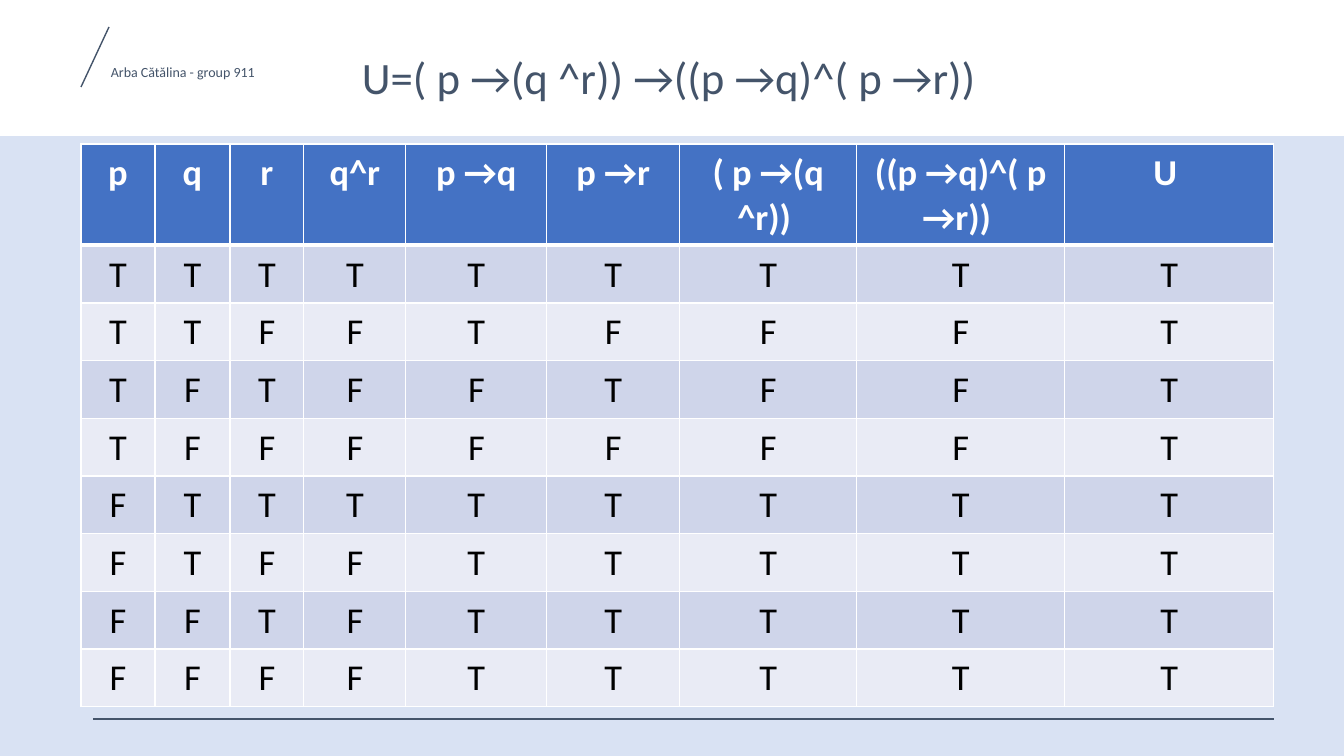
from itertools import product

from lxml.etree import SubElement
from pptx import Presentation
from pptx.dml.color import RGBColor
from pptx.enum.shapes import MSO_CONNECTOR, MSO_SHAPE
from pptx.enum.text import MSO_ANCHOR, PP_ALIGN
from pptx.oxml.ns import qn
from pptx.util import Pt

EMU_PER_PX = 914400 / 100.8
SLIDE_WIDTH, SLIDE_HEIGHT = 1344, 756
COLORS = {
    "accent": "4472C4",
    "ink": "44546A",
    "white": "FFFFFF",
    "black": "000000",
    "odd_row": "CFD5EA",
    "even_row": "E9EBF5",
}
HEADERS = ["p", "q", "r", "q^r", "p →q", "p →r",
           "( p →(q ^r)) ", "((p →q)^( p →r)) ", "U "]
COLUMN_WIDTHS = [74, 75, 74, 102, 141, 133, 177, 208, 209]
HEADER_HEIGHT, ROW_HEIGHT = 96, 57


def px(length):
    return round(length * EMU_PER_PX)


def color(name):
    return RGBColor.from_string(COLORS[name])


def set_values(target, values):
    for name, value in values.items():
        setattr(target, name, value)


def style_font(paragraph, size, color_name, bold=False):
    set_values(paragraph.font, {"name": "Calibri", "size": Pt(size), "bold": bold})
    paragraph.font.color.rgb = color(color_name)


def add_band(slide, left, top, width, height):
    band = slide.shapes.add_shape(MSO_SHAPE.RECTANGLE, *map(px, (left, top, width, height)))
    band.shadow.inherit = False
    band.fill.solid()
    band.fill.fore_color.rgb = color("accent")
    band.line.fill.background()
    fill_color = band.fill._xPr.find(qn("a:solidFill"))[0]
    SubElement(fill_color, qn("a:alpha"), val="20000")


def add_text(slide, box, text, size, frame_format):
    frame = slide.shapes.add_textbox(*map(px, box)).text_frame
    set_values(frame, {"word_wrap": True, **frame_format})
    paragraph = frame.paragraphs[0]
    paragraph.text = text
    paragraph.line_spacing = 0.9
    style_font(paragraph, size, "ink")


def add_line(slide, *ends):
    line = slide.shapes.add_connector(MSO_CONNECTOR.STRAIGHT, *map(px, ends))
    line.line.color.rgb = color("ink")
    line.line.width = Pt(1)
    SubElement(line._element.spPr, qn("a:effectLst"))


def add_heading(slide, left, top, width, height):
    add_text(slide, (left + 352, top, width - 352, height),
             "U=( p →(q ^r)) →((p →q)^( p →r))", 32,
             {"vertical_anchor": MSO_ANCHOR.BOTTOM, "margin_bottom": px(85)})
    add_text(slide, (left + 101, top + 60, 383, 26), "Arba Cătălina - group 911", 10,
             {"vertical_anchor": MSO_ANCHOR.MIDDLE, "margin_top": 0, "margin_bottom": 0})
    add_line(slide, left + 109, top + 27, left + 81, top + 87)


def truth_rows():
    """Evaluate every column for each assignment of p, q and r."""
    for p, q, r in product([True, False], repeat=3):
        q_and_r, p_to_q, p_to_r = q and r, not p or q, not p or r
        premise, conclusion = not p or q_and_r, p_to_q and p_to_r
        values = [p, q, r, q_and_r, p_to_q, p_to_r,
                  premise, conclusion, not premise or conclusion]
        yield ["T" if value else "F" for value in values]


def add_borders(cell, top, bottom):
    properties = cell._tc.get_or_add_tcPr()
    for side, width in {"L": 1, "R": 1, "T": top, "B": bottom}.items():
        border = SubElement(properties, qn(f"a:ln{side}"), w=str(Pt(width)))
        fill = SubElement(border, qn("a:solidFill"))
        SubElement(fill, qn("a:srgbClr"), val=COLORS["white"])


def fill_cell(cell, text, row_index):
    is_header = row_index == 0
    add_borders(cell, top=3 if row_index == 1 else 1, bottom=3 if is_header else 1)
    cell.fill.solid()
    row_color = "odd_row" if row_index % 2 else "even_row"
    cell.fill.fore_color.rgb = color("accent" if is_header else row_color)
    set_values(cell, {"margin_left": px(14), "margin_right": px(14),
                      "margin_top": px(7), "margin_bottom": px(7)})
    paragraph = cell.text_frame.paragraphs[0]
    paragraph.text = text
    paragraph.alignment = PP_ALIGN.CENTER
    style_font(paragraph, 26, "white" if is_header else "black", is_header)


def add_truth_table(slide, left, top, width, height):
    rows = [HEADERS, *truth_rows()]
    box = map(px, (left, top, width, height))
    table = slide.shapes.add_table(len(rows), len(HEADERS), *box).table
    for column, column_width in zip(table.columns, COLUMN_WIDTHS):
        column.width = px(column_width)
    for row_index, texts in enumerate(rows):
        table.rows[row_index].height = px(ROW_HEIGHT if row_index else HEADER_HEIGHT)
        for column_index, text in enumerate(texts):
            fill_cell(table.cell(row_index, column_index), text, row_index)


def main():
    presentation = Presentation()
    presentation.slide_width = px(SLIDE_WIDTH)
    presentation.slide_height = px(SLIDE_HEIGHT)
    slide = presentation.slides.add_slide(presentation.slide_layouts[6])
    add_band(slide, 0, 136, SLIDE_WIDTH, SLIDE_HEIGHT - 136)
    add_heading(slide, 0, 0, SLIDE_WIDTH, 189)
    add_line(slide, 1274, 719, 93, 719)
    add_truth_table(slide, 81, 144, sum(COLUMN_WIDTHS), HEADER_HEIGHT + 8 * ROW_HEIGHT)
    presentation.save("out.pptx")


if __name__ == "__main__":
    main()
